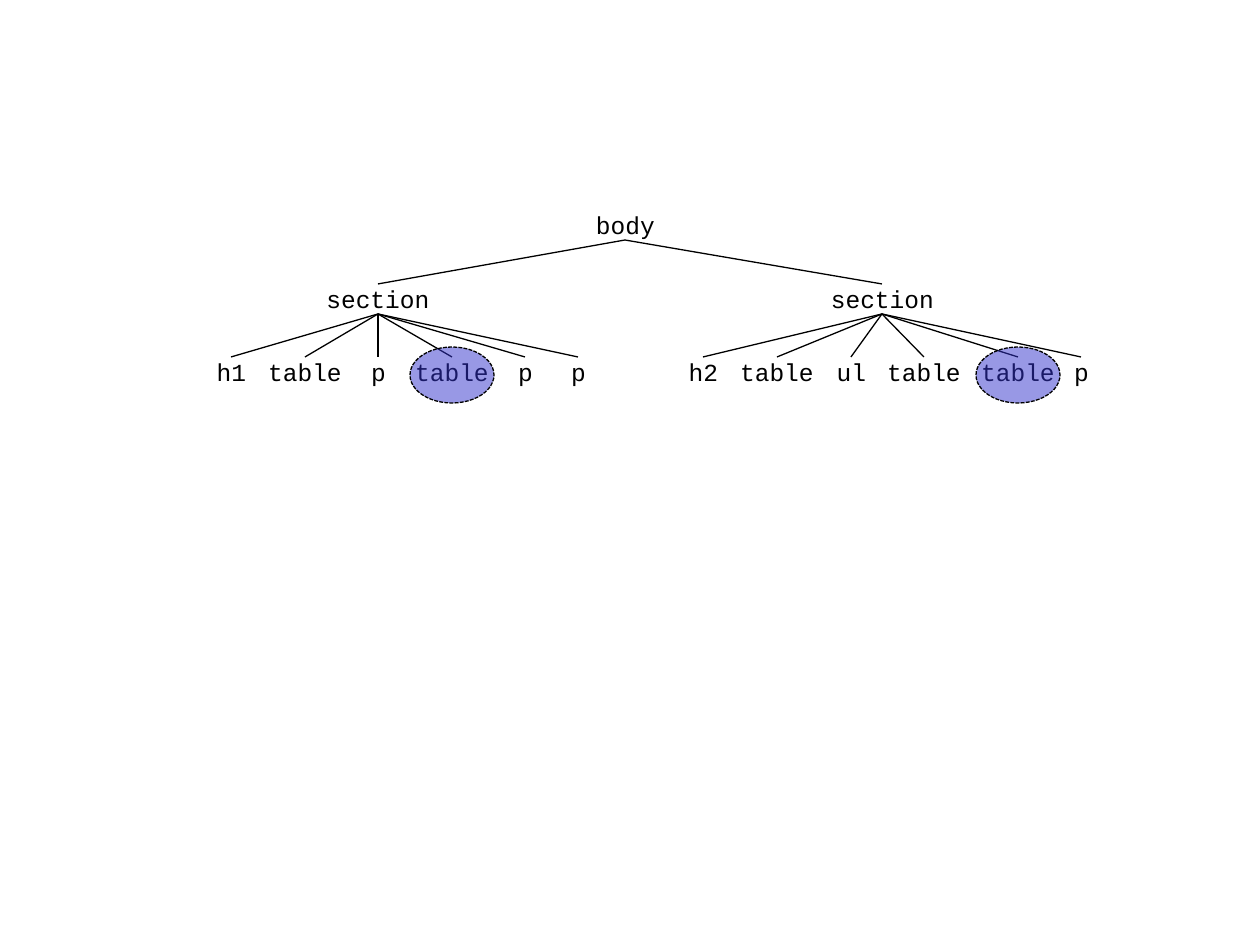
import pptx
import pptx.util
import pptx.dml.color
import pptx.enum.dml
import pptx.enum.shapes
import pptx.enum.text
import pptx.oxml

PX = 914400 // 126
LINE = 29
ROWS = (210, 284, 357)
TREE = (
    (378, 126, (("h1", 231, 63), ("table", 305, 84), ("p", 378, 63),
                ("table", 452, 84), ("p", 525, 63), ("p", 578, 63))),
    (882, 105, (("h2", 703, 63), ("table", 777, 84), ("ul", 851, 63),
                ("table", 924, 84), ("table", 1018, 84), ("p", 1081, 63))),
)
MARKS = (452, 1018)


def px(*sizes):
    """Turn pixel lengths into EMU."""
    return [pptx.util.Emu(size * PX) for size in sizes]


def color(text):
    """Make a colour from a hex string."""
    return pptx.dml.color.RGBColor.from_string(text)


def pen(line):
    """Give a line the thin black stroke."""
    line.color.rgb = color("000000")
    line.width = pptx.util.Pt(0.75)


def label(slide, text, mid, row, width):
    """Add a tag name centred on a column."""
    box = slide.shapes.add_textbox(*px(mid - width // 2, ROWS[row], width, LINE))
    frame = box.text_frame
    frame.word_wrap = True
    frame.auto_size = pptx.enum.text.MSO_AUTO_SIZE.SHAPE_TO_FIT_TEXT
    frame.margin_left = frame.margin_right = 0
    frame.margin_top = frame.margin_bottom = 0
    para = frame.paragraphs[0]
    para.text = text
    para.alignment = pptx.enum.text.PP_ALIGN.CENTER
    para.font.name = "Courier New"
    para.font.size = pptx.util.Pt(14)
    para.font.color.rgb = color("000000")


def branch(slide, start, end, row):
    """Join a parent in one row to a child in the next."""
    kind = pptx.enum.shapes.MSO_CONNECTOR.STRAIGHT
    ends = px(start, ROWS[row] + LINE + 1, end, ROWS[row + 1])
    line = slide.shapes.add_connector(kind, *ends)
    pen(line.line)
    props = line._element.spPr
    props.append(pptx.oxml.parse_xml(
        '<a:effectLst xmlns:a="http://schemas.openxmlformats.org/drawingml/2006/main"/>'))


def mark(slide, mid):
    """Cover a leaf with a dashed translucent ellipse."""
    kind = pptx.enum.shapes.MSO_SHAPE.OVAL
    oval = slide.shapes.add_shape(kind, *px(mid - 42, 347, 84, 56))
    oval.shadow.inherit = False
    oval.fill.solid()
    oval.fill.fore_color.rgb = color("3333CC")
    pen(oval.line)
    oval.line.dash_style = pptx.enum.dml.MSO_LINE.SQUARE_DOT
    tint = oval._element.spPr.find(".//{*}solidFill/{*}srgbClr")
    tint.append(pptx.oxml.parse_xml(
        '<a:alpha xmlns:a="http://schemas.openxmlformats.org/drawingml/2006/main" val="50000"/>'))


def main():
    """Build the slide with the element tree."""
    deck = pptx.Presentation()
    deck.slide_width, deck.slide_height = px(1260, 945)
    slide = deck.slides.add_slide(deck.slide_layouts[6])
    root = 625
    label(slide, "body", root, 0, 73)
    for mid, width, leaves in TREE:
        label(slide, "section", mid, 1, width)
        branch(slide, root, mid, 0)
        for text, leaf, room in leaves:
            label(slide, text, leaf, 2, room)
            branch(slide, mid, leaf, 1)
    for mid in MARKS:
        mark(slide, mid)
    deck.save("out.pptx")


if __name__ == "__main__":
    main()
